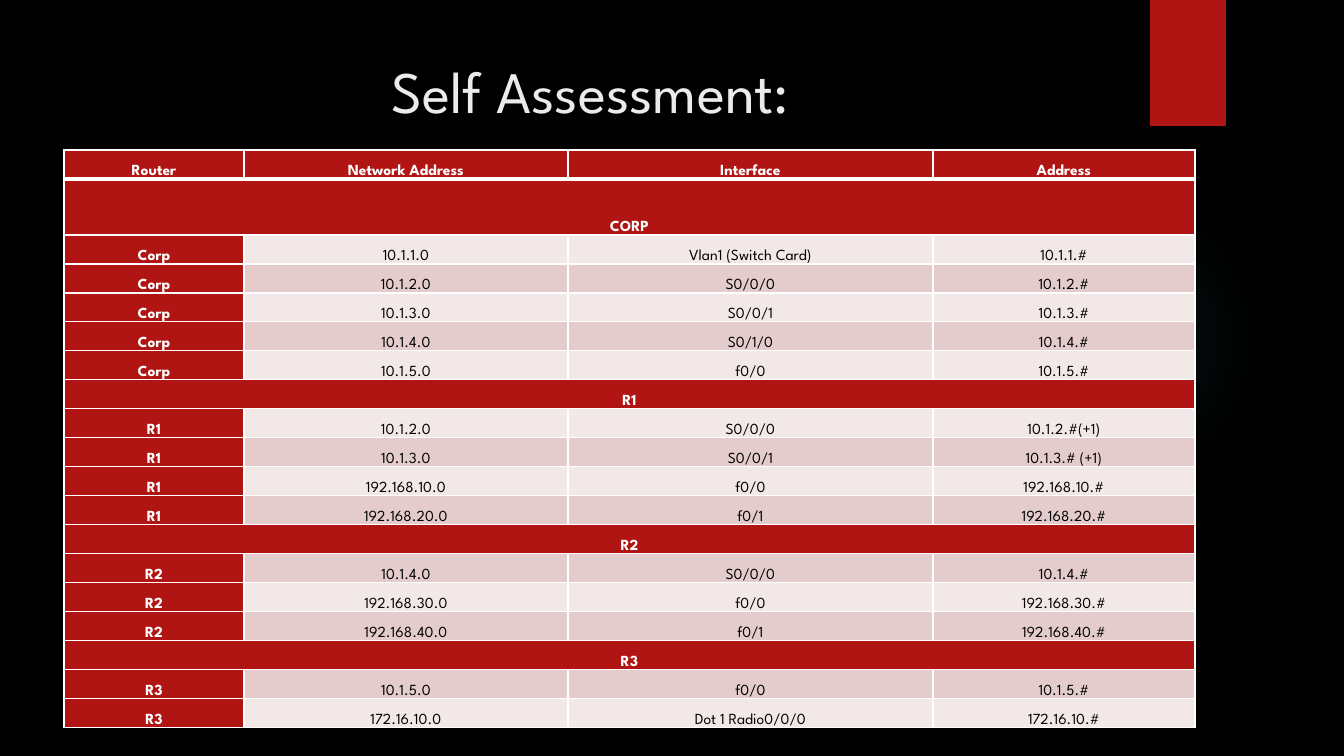
"""Build the router addressing self-assessment slide."""
import dataclasses

import lxml.etree
import pptx
import pptx.dml.color
import pptx.enum.dml
import pptx.enum.shapes
import pptx.enum.text
import pptx.oxml
import pptx.oxml.ns
import pptx.shapes.autoshape
import pptx.slide
import pptx.table
import pptx.text.text
import pptx.util

EMU_PER_PX = 914400 / 100.8
FONT = "League Spartan"
BLACK = pptx.dml.color.RGBColor(0x00, 0x00, 0x00)
WHITE = pptx.dml.color.RGBColor(0xFF, 0xFF, 0xFF)
TITLE_GREY = pptx.dml.color.RGBColor(0xEB, 0xEB, 0xEB)
RED = pptx.dml.color.RGBColor(0xB0, 0x15, 0x13)
LIGHT_PINK = pptx.dml.color.RGBColor(0xF2, 0xE8, 0xE7)
DARK_PINK = pptx.dml.color.RGBColor(0xE4, 0xCC, 0xCC)
GLOW_TEAL = pptx.dml.color.RGBColor(0x50, 0xB9, 0xC1)
GLOW_STOPS = ((0, 7), (36, 6), (69, 0), (100, 0))

COLUMN_WIDTHS = (180, 324, 365, 262)
ROW_HEIGHT = 29
CORP_HEADING_HEIGHT = 56
HEADERS = ("Router", "Network Address", "Interface", "Address")


@dataclasses.dataclass(frozen=True)
class Box:
    """A rectangle in px."""

    left: int
    top: int
    width: int
    height: int

    def emu(self) -> tuple[pptx.util.Emu, ...]:
        """Return the four lengths in EMU."""
        return tuple(px(length) for length in dataclasses.astuple(self))


@dataclasses.dataclass(frozen=True)
class Router:
    """A router section: heading, row label and its interfaces."""

    heading: str
    label: str
    interfaces: tuple[tuple[str, str, str], ...]


ROUTERS = (
    Router("CORP", "Corp", (
        ("10.1.1.0", "Vlan1 (Switch Card)", "10.1.1.#"),
        ("10.1.2.0", "S0/0/0", "10.1.2.#"),
        ("10.1.3.0", "S0/0/1", "10.1.3.#"),
        ("10.1.4.0", "S0/1/0", "10.1.4.#"),
        ("10.1.5.0", "f0/0", "10.1.5.#"),
    )),
    Router("R1", "R1", (
        ("10.1.2.0", "S0/0/0", "10.1.2.#(+1)"),
        ("10.1.3.0", "S0/0/1", "10.1.3.# (+1)"),
        ("192.168.10.0", "f0/0", "192.168.10.#"),
        ("192.168.20.0", "f0/1", "192.168.20.#"),
    )),
    Router("R2", "R2", (
        ("10.1.4.0", "S0/0/0", "10.1.4.#"),
        ("192.168.30.0", "f0/0", "192.168.30.#"),
        ("192.168.40.0", "f0/1", "192.168.40.#"),
    )),
    Router("R3", "R3", (
        ("10.1.5.0", "f0/0", "10.1.5.#"),
        ("172.16.10.0", "Dot 1 Radio0/0/0", "172.16.10.#"),
    )),
)

GLOW = Box(949, 184, 310, 310)
RIBBON = Box(1150, 0, 76, 126)
TITLE = Box(72, 50, 1037, 154)


def px(length: int) -> pptx.util.Emu:
    """Convert px to EMU."""
    return pptx.util.Emu(round(length * EMU_PER_PX))


def format_paragraph(paragraph: pptx.text.text._Paragraph, size: int,
                     color: pptx.dml.color.RGBColor, bold: bool = False) -> None:
    """Centre a paragraph and set its font."""
    paragraph.alignment = pptx.enum.text.PP_ALIGN.CENTER
    paragraph.font.name = FONT
    paragraph.font.size = pptx.util.Pt(size)
    paragraph.font.bold = bold
    paragraph.font.color.rgb = color


def add_ornament(slide: pptx.slide.Slide, kind: pptx.enum.shapes.MSO_SHAPE,
                 box: Box) -> pptx.shapes.autoshape.Shape:
    """Add a red shape without line or shadow."""
    shape = slide.shapes.add_shape(kind, *box.emu())
    shape.shadow.inherit = False
    shape.line.fill.background()
    shape.fill.solid()
    shape.fill.fore_color.rgb = RED
    return shape


def apply_glow(shape: pptx.shapes.autoshape.Shape) -> None:
    """Replace the fill by a radial gradient that fades outwards."""
    stops = "".join(
        f'<a:gs pos="{position * 1000}"><a:srgbClr val="{GLOW_TEAL}">'
        f'<a:alpha val="{alpha * 1000}"/></a:srgbClr></a:gs>'
        for position, alpha in GLOW_STOPS)
    gradient = pptx.oxml.parse_xml(
        f'<a:gradFill {pptx.oxml.ns.nsdecls("a")}><a:gsLst>{stops}</a:gsLst>'
        '<a:path path="circle"><a:fillToRect l="50000" t="50000" r="50000" b="50000"/>'
        '</a:path></a:gradFill>')
    solid = shape.element.spPr.find(pptx.oxml.ns.qn("a:solidFill"))
    solid.getparent().replace(solid, gradient)


def set_borders(cell: pptx.table._Cell, bottom: int, top: int) -> None:
    """Draw white borders around a cell, widths in points."""
    properties = cell._tc.get_or_add_tcPr()
    widths = (("lnL", 1), ("lnR", 1), ("lnT", top), ("lnB", bottom))
    for index, (side, width) in enumerate(widths):
        line = lxml.etree.Element(pptx.oxml.ns.qn(f"a:{side}"), w=str(pptx.util.Pt(width)))
        fill = lxml.etree.SubElement(line, pptx.oxml.ns.qn("a:solidFill"))
        lxml.etree.SubElement(fill, pptx.oxml.ns.qn("a:srgbClr"), val=str(WHITE))
        properties.insert(index, line)


def format_cell(cell: pptx.table._Cell, text: str, row: int, is_red: bool) -> None:
    """Fill, border and label one cell."""
    band = DARK_PINK if row % 2 else LIGHT_PINK
    cell.fill.solid()
    cell.fill.fore_color.rgb = RED if is_red else band
    cell.vertical_anchor = pptx.enum.text.MSO_ANCHOR.BOTTOM
    cell.margin_left = cell.margin_right = px(7)
    cell.margin_top = cell.margin_bottom = 0
    set_borders(cell, bottom=3 if row == 0 else 1, top=3 if row == 1 else 1)
    cell.text = text
    paragraph = cell.text_frame.paragraphs[0]
    paragraph.line_spacing = 1.15
    format_paragraph(paragraph, 11, WHITE if is_red else BLACK, is_red)


def add_address_table(slide: pptx.slide.Slide) -> None:
    """Add the address table, one section for each router."""
    rows = [HEADERS]
    for router in ROUTERS:
        rows.append((router.heading, "", "", ""))
        rows.extend((router.label, *interface) for interface in router.interfaces)
    height = ROW_HEIGHT * (len(rows) - 1) + CORP_HEADING_HEIGHT
    box = Box(64, 150, sum(COLUMN_WIDTHS), height)
    table = slide.shapes.add_table(len(rows), len(HEADERS), *box.emu()).table
    table.first_col = True
    for column, width in zip(table.columns, COLUMN_WIDTHS):
        column.width = px(width)
    for index, texts in enumerate(rows):
        is_heading = not texts[1]
        table.rows[index].height = px(CORP_HEADING_HEIGHT if index == 1 else ROW_HEIGHT)
        for column, text in enumerate(texts):
            is_red = index == 0 or column == 0 or is_heading
            format_cell(table.cell(index, column), text, index, is_red)
        if is_heading:
            table.cell(index, 0).merge(table.cell(index, len(HEADERS) - 1))


def add_title(slide: pptx.slide.Slide) -> None:
    """Place the title in front of the ornaments."""
    title = slide.shapes.title
    title.element.getparent().append(title.element)
    title.left, title.top, title.width, title.height = TITLE.emu()
    title.text_frame.text = "Self Assessment:"
    title.text_frame.vertical_anchor = pptx.enum.text.MSO_ANCHOR.TOP
    title.text_frame.auto_size = pptx.enum.text.MSO_AUTO_SIZE.NONE
    format_paragraph(title.text_frame.paragraphs[0], 42, TITLE_GREY)


def main() -> None:
    """Build and save the presentation."""
    presentation = pptx.Presentation()
    presentation.slide_width, presentation.slide_height = px(1344), px(756)
    slide = presentation.slides.add_slide(presentation.slide_layouts[5])
    slide.background.fill.solid()
    slide.background.fill.fore_color.rgb = BLACK
    apply_glow(add_ornament(slide, pptx.enum.shapes.MSO_SHAPE.OVAL, GLOW))
    add_ornament(slide, pptx.enum.shapes.MSO_SHAPE.RECTANGLE, RIBBON)
    add_title(slide)
    add_address_table(slide)
    presentation.save("out.pptx")


if __name__ == "__main__":
    main()
